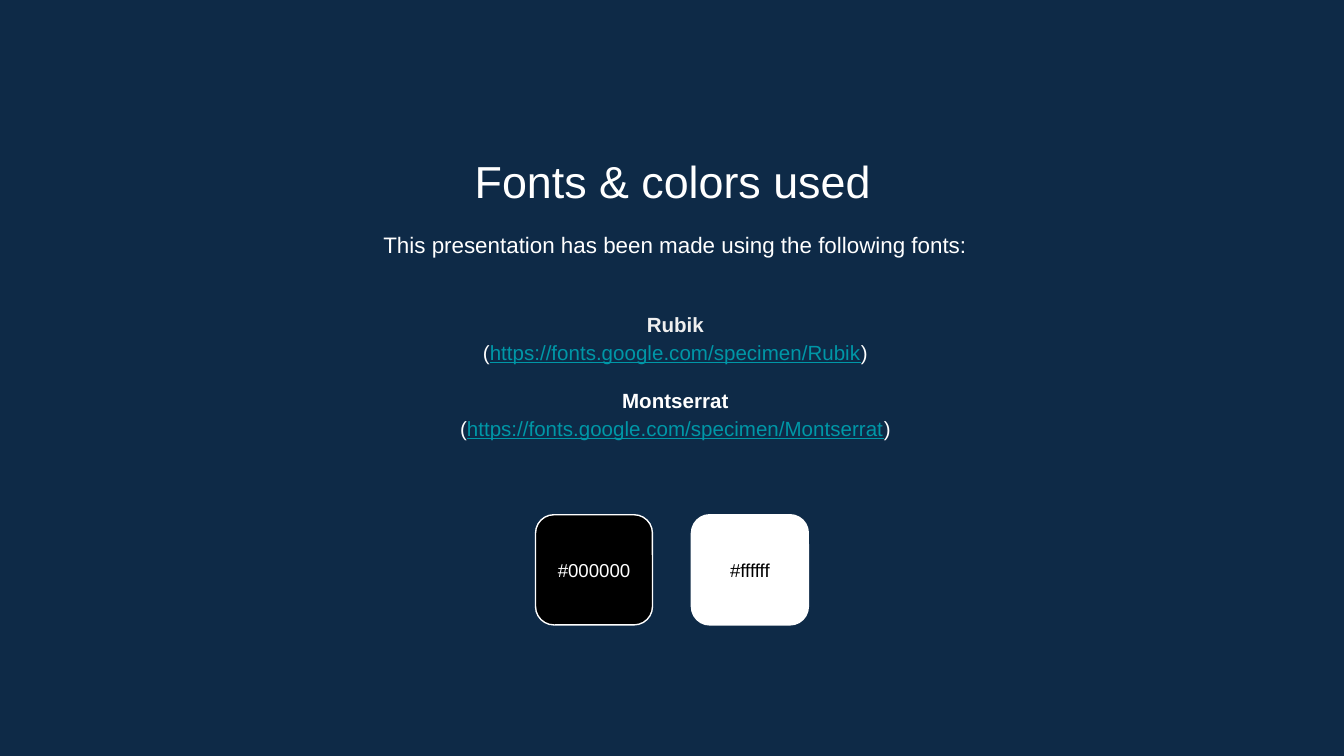
import pptx
import pptx.util
import pptx.dml.color
import pptx.enum.shapes
import pptx.enum.text

Inches, Pt = pptx.util.Inches, pptx.util.Pt
ANCHOR = pptx.enum.text.MSO_ANCHOR

# Content
NAVY, WHITE, BLACK, PALE, TEAL = "0E2A47", "FFFFFF", "000000", "EFEFEF", "0097A7"
TITLE = "Fonts & colors used"
INTRO = "This presentation has been made using the following fonts:"
FONTS = [
    ("Rubik", "https://fonts.google.com/specimen/Rubik", PALE),
    ("Montserrat", "https://fonts.google.com/specimen/Montserrat", WHITE),
]
SWATCHES = [("#000000", BLACK, WHITE), ("#ffffff", WHITE, BLACK)]

# Layout: a 16:9 page
SLIDE_WIDTH = 10
SLIDE_HEIGHT = SLIDE_WIDTH * 9 / 16
SWATCH_WIDTH, SWATCH_HEIGHT, SWATCH_GAP, SWATCH_TOP = 0.87, 0.82, 0.29, 3.83


def rgb(value):
    return pptx.dml.color.RGBColor.from_string(value)


def set_frame(frame, anchor, inset):
    frame.word_wrap = True
    frame.auto_size = pptx.enum.text.MSO_AUTO_SIZE.NONE
    frame.vertical_anchor = anchor
    frame.margin_left = frame.margin_right = Inches(inset)
    frame.margin_top = frame.margin_bottom = Inches(inset)


def write(para, spans, size, spacing=1.0):
    """Fill a centred paragraph with (text, colour, bold, underline) spans."""
    para.alignment = pptx.enum.text.PP_ALIGN.CENTER
    para.line_spacing = spacing
    para.space_before = para.space_after = Pt(0)
    for text, colour, bold, underline in spans:
        span = para.add_run()
        span.text = text
        span.font.name = "Arial"
        span.font.size = Pt(size)
        span.font.bold = bold
        span.font.underline = underline
        span.font.color.rgb = rgb(colour)


def add_box(left, top, width, height, anchor):
    box = page.shapes.add_textbox(Inches(left), Inches(top), Inches(width), Inches(height))
    set_frame(box.text_frame, anchor, 0.1)
    return box.text_frame


deck = pptx.Presentation()
deck.slide_width, deck.slide_height = Inches(SLIDE_WIDTH), Inches(SLIDE_HEIGHT)
page = deck.slides.add_slide(deck.slide_layouts[5])
page.background.fill.solid()
page.background.fill.fore_color.rgb = rgb(NAVY)

# Title
title = page.shapes.title
title.left, title.top = Inches(1.15), Inches(1.04)
title.width, title.height = Inches(7.71), Inches(0.53)
set_frame(title.text_frame, ANCHOR.TOP, 0.1)
write(title.text_frame.paragraphs[0], [(TITLE, WHITE, False, False)], 24)

# Introduction
intro = add_box(1.17, 1.59, 7.71, 0.48, ANCHOR.TOP)
write(intro.paragraphs[0], [(INTRO, WHITE, False, False)], 12, 1.15)

# Font names and addresses
font_list = add_box(1.17, 2.1, 7.71, 1.37, ANCHOR.MIDDLE)
for index, (name, address, colour) in enumerate(FONTS):
    para = font_list.add_paragraph() if index else font_list.paragraphs[0]
    write(para, [(name, colour, True, False)], 11, 1.15)
    if index:
        para.space_before = Pt(10.5)
    write(font_list.add_paragraph(), [
        ("(", WHITE, False, False),
        (address, TEAL, False, True),
        (")", WHITE, False, False),
    ], 11, 1.15)

# Colour swatches, centred as a row
step = SWATCH_WIDTH + SWATCH_GAP
row_left = (SLIDE_WIDTH - len(SWATCHES) * step + SWATCH_GAP) / 2
for index, (label, fill, ink) in enumerate(SWATCHES):
    swatch = page.shapes.add_shape(
        pptx.enum.shapes.MSO_SHAPE.ROUNDED_RECTANGLE,
        Inches(row_left + index * step), Inches(SWATCH_TOP),
        Inches(SWATCH_WIDTH), Inches(SWATCH_HEIGHT))
    swatch.shadow.inherit = False
    swatch.fill.solid()
    swatch.fill.fore_color.rgb = rgb(fill)
    swatch.line.color.rgb = rgb(WHITE)
    swatch.line.width = Pt(0.75)
    set_frame(swatch.text_frame, ANCHOR.MIDDLE, 0)
    write(swatch.text_frame.paragraphs[0], [(label, ink, False, False)], 10)

deck.save("out.pptx")
